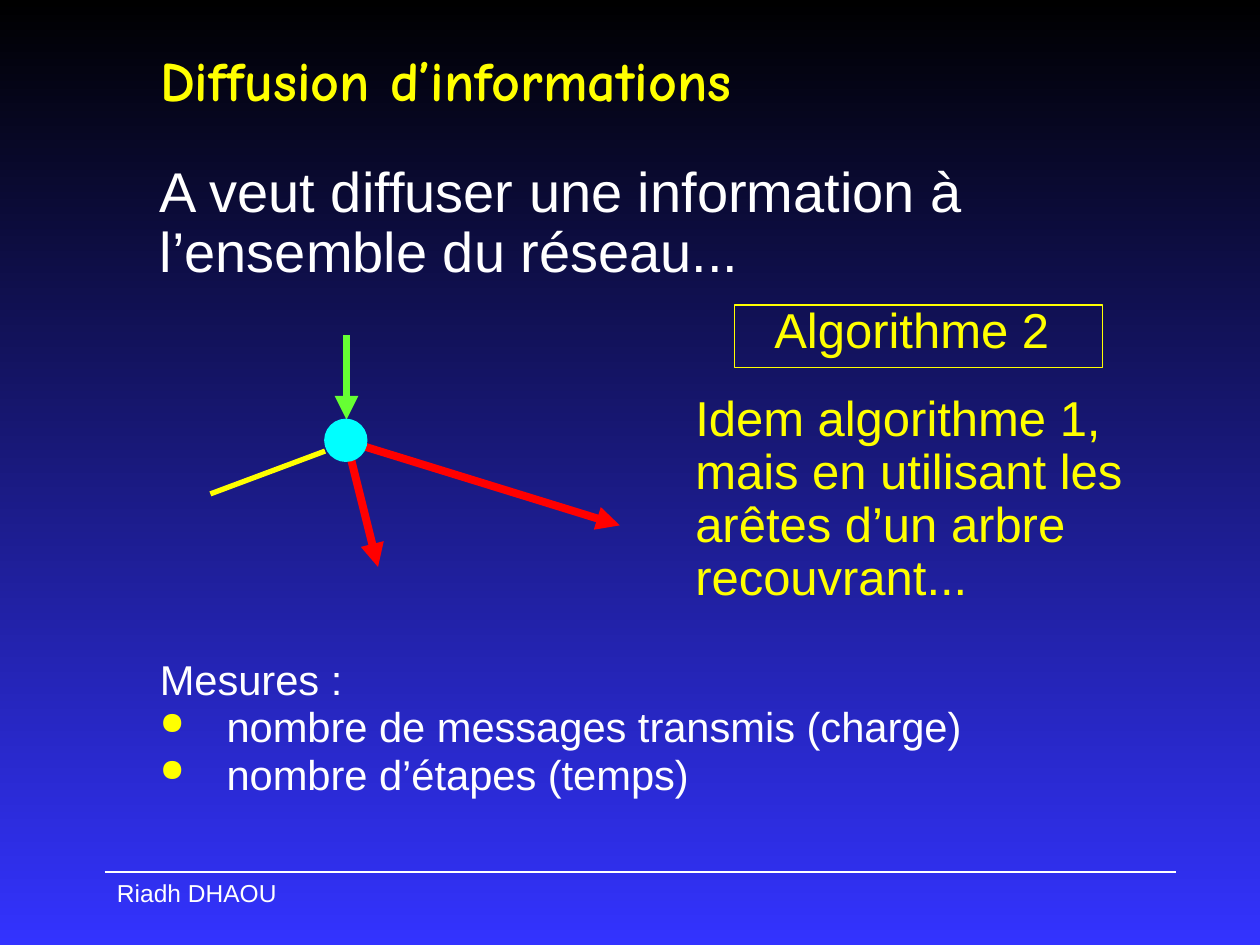
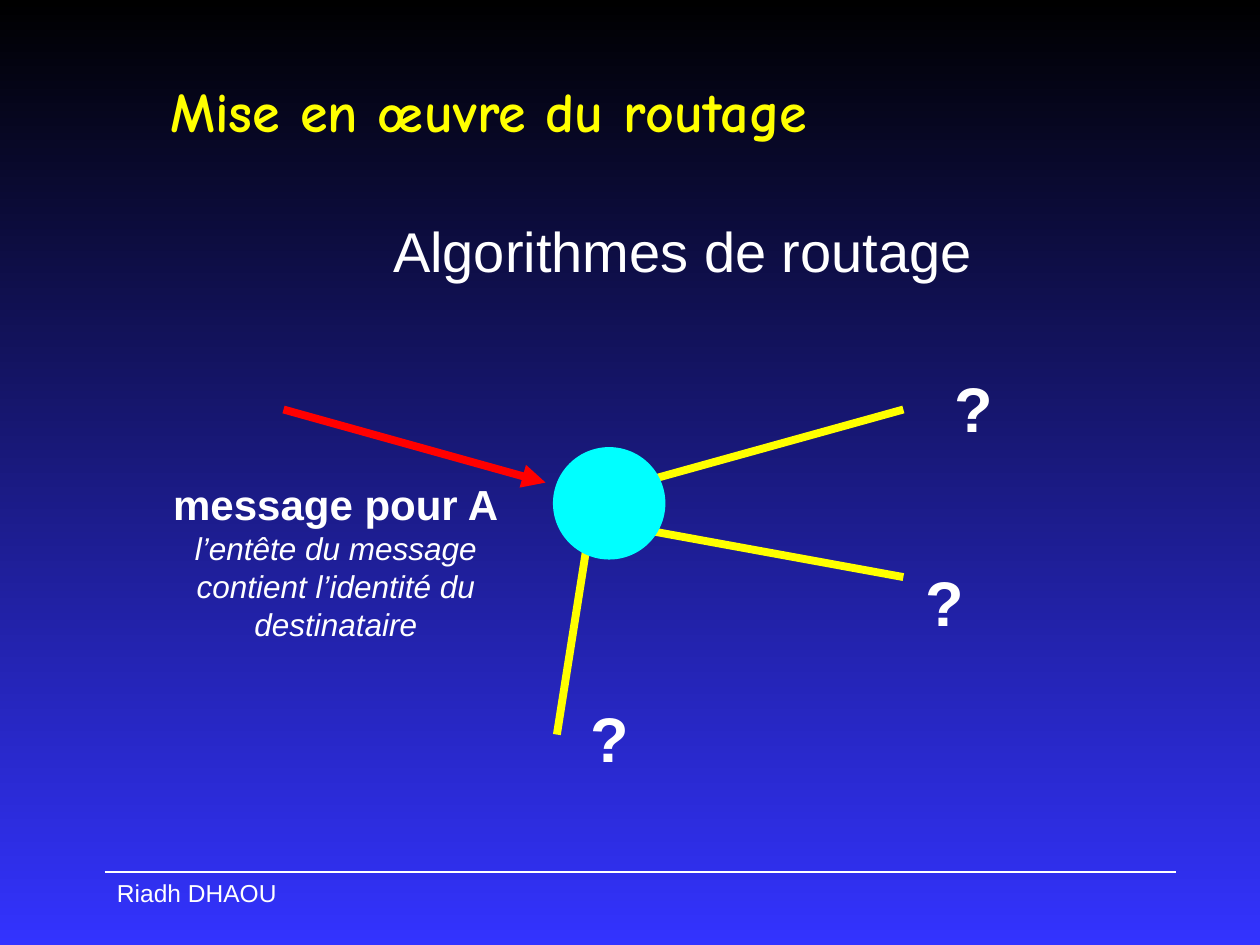
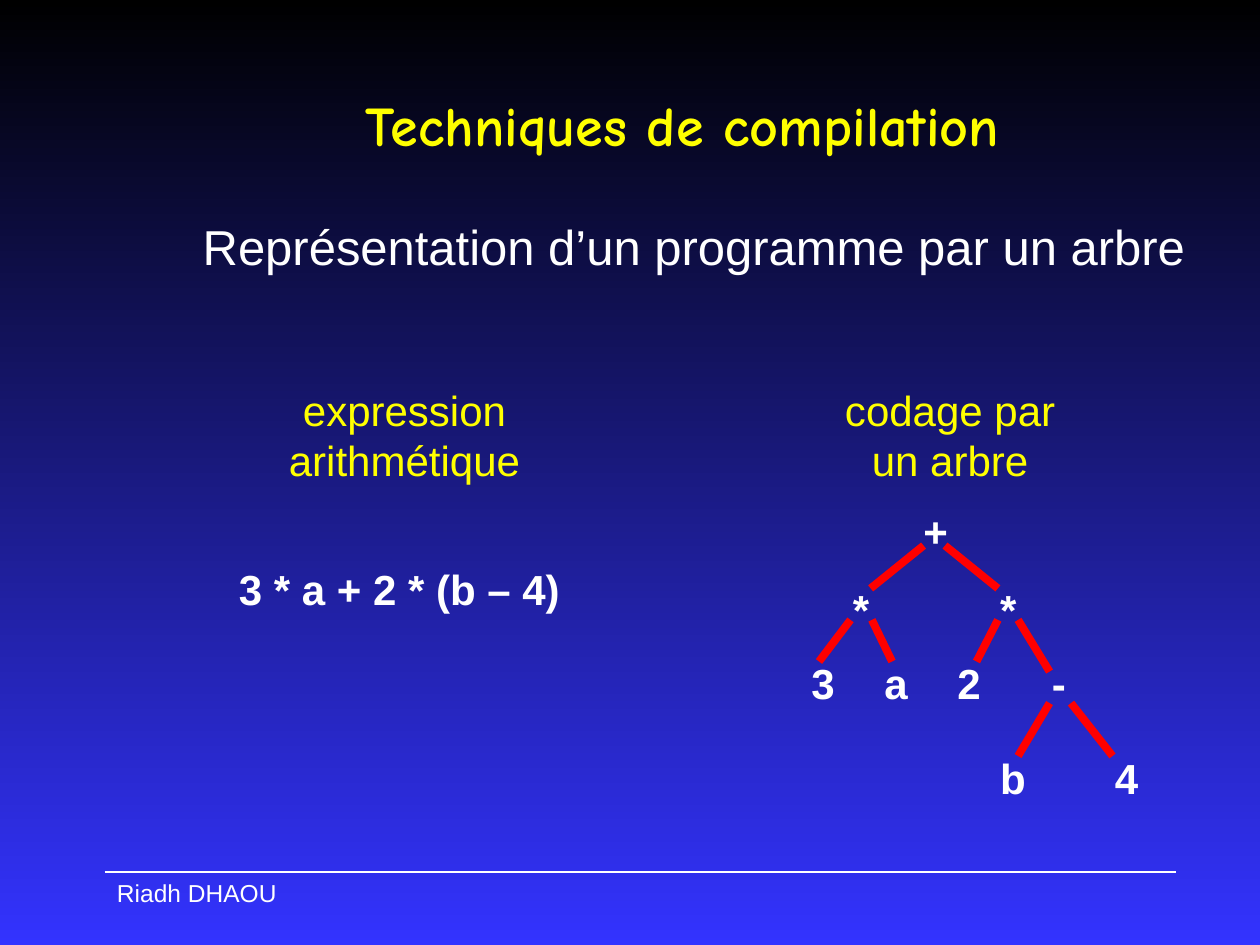
from dataclasses import dataclass

from lxml import etree
from pptx import Presentation
from pptx.dml.color import RGBColor
from pptx.enum import shapes, text
from pptx.oxml import ns
from pptx.util import Inches, Pt

COLORS = {
    "black": "000000",
    "blue": "3333FF",
    "white": "FFFFFF",
    "yellow": "FFFF00",
    "red": "FF0000",
    "green": "66FF33",
    "cyan": "00FFFF",
}
BODY_FONT = "Arial"
TITLE_FONT = "Comic Neue"
LEFT, CENTER = text.PP_ALIGN.LEFT, text.PP_ALIGN.CENTER
TOP, MIDDLE = text.MSO_ANCHOR.TOP, text.MSO_ANCHOR.MIDDLE


@dataclass(frozen=True)
class Box:
    left: float
    top: float
    width: float
    height: float

    def lengths(self):
        return [Inches(v) for v in (self.left, self.top, self.width, self.height)]


@dataclass(frozen=True)
class Para:
    words: str
    size: float
    color: str = "white"
    bold: bool = False
    italic: bool = False
    align: text.PP_ALIGN = LEFT
    spacing: float = 1.0
    before: float = 0
    bullet: bool = False
    font: str = BODY_FONT


@dataclass(frozen=True)
class Link:
    start: tuple[float, float]
    end: tuple[float, float]
    color: str
    width: float = 4.5
    arrow: bool = False


def rgb(name: str) -> RGBColor:
    return RGBColor.from_string(COLORS[name])


def add_bullet(paragraph) -> None:
    properties = paragraph._p.get_or_add_pPr()
    properties.set("marL", str(Inches(0.53)))
    properties.set("indent", str(-Inches(0.53)))
    bullet_color = etree.SubElement(properties, ns.qn("a:buClr"))
    etree.SubElement(bullet_color, ns.qn("a:srgbClr"), val=COLORS["yellow"])
    etree.SubElement(properties, ns.qn("a:buSzPct"), val="75000")
    etree.SubElement(properties, ns.qn("a:buChar"), char="●")


def fill_text(frame, paras: list[Para], anchor=TOP, wrap: bool = True) -> None:
    frame.word_wrap = wrap
    frame.auto_size = text.MSO_AUTO_SIZE.NONE
    frame.vertical_anchor = anchor
    for index, para in enumerate(paras):
        paragraph = frame.add_paragraph() if index else frame.paragraphs[0]
        paragraph.text = para.words
        paragraph.alignment = para.align
        paragraph.line_spacing = para.spacing
        paragraph.space_before = Pt(para.before)
        if para.bullet:
            add_bullet(paragraph)
        font = paragraph.font
        font.name, font.size = para.font, Pt(para.size)
        font.bold, font.italic = para.bold, para.italic
        font.color.rgb = rgb(para.color)


def add_text(slide, box: Box, *paras: Para, wrap: bool = True) -> None:
    fill_text(slide.shapes.add_textbox(*box.lengths()).text_frame, list(paras), wrap=wrap)


def add_link(slide, link: Link) -> None:
    points = [Inches(v) for v in (*link.start, *link.end)]
    connector = slide.shapes.add_connector(shapes.MSO_CONNECTOR.STRAIGHT, *points)
    connector.line.color.rgb = rgb(link.color)
    connector.line.width = Pt(link.width)
    if link.arrow:
        etree.SubElement(connector.line._get_or_add_ln(), ns.qn("a:tailEnd"), type="triangle")
    etree.SubElement(connector._element.spPr, ns.qn("a:effectLst"))


def add_node(slide, box: Box, outline: float) -> None:
    node = slide.shapes.add_shape(shapes.MSO_SHAPE.OVAL, *box.lengths())
    node.shadow.inherit = False
    node.fill.solid()
    node.fill.fore_color.rgb = rgb("cyan")
    node.line.color.rgb = rgb("cyan")
    node.line.width = Pt(outline)


def set_background(master) -> None:
    fill = master.background.fill
    fill.gradient()
    fill.gradient_angle = 270
    for stop, position, name in zip(fill.gradient_stops, (0, 1), ("black", "blue")):
        stop.position = position
        stop.color.rgb = rgb(name)


def start_slide(prs, title: str, box: Box, align=LEFT, anchor=MIDDLE):
    slide = prs.slides.add_slide(prs.slide_layouts[5])
    heading = slide.shapes.title
    heading.left, heading.top, heading.width, heading.height = box.lengths()
    fill_text(
        heading.text_frame,
        [Para(title, 32, "yellow", bold=True, align=align, font=TITLE_FONT)],
        anchor,
    )
    add_link(slide, Link((0.83, 6.92), (9.33, 6.92), "white", 1))
    add_text(slide, Box(0.83, 6.92, 1.92, 0.34), Para("Riadh DHAOU", 14))
    return slide


def build_broadcast(prs) -> None:
    slide = start_slide(prs, "Diffusion d’informations", Box(1.17, 0, 8.5, 1.25))
    add_text(
        slide,
        Box(1.17, 1.25, 8.47, 1.12),
        Para("A veut diffuser une information à l’ensemble du réseau...", 32, spacing=0.9),
    )
    algorithm = slide.shapes.add_shape(
        shapes.MSO_SHAPE.RECTANGLE, *Box(5.83, 2.42, 2.92, 0.5).lengths()
    )
    algorithm.shadow.inherit = False
    algorithm.fill.background()
    algorithm.line.color.rgb = rgb("yellow")
    algorithm.line.width = Pt(0.75)
    fill_text(
        algorithm.text_frame,
        [Para("Algorithme 2 ", 28, "yellow", align=CENTER, spacing=0.8)],
    )
    center = (2.75, 3.5)
    for link in (
        Link((2.75, 2.66), (2.75, 3.33), "green", arrow=True),
        Link(center, (4.92, 4.17), "red", arrow=True),
        Link(center, (3, 4.5), "red", arrow=True),
        Link((2.58, 3.58), (1.67, 3.92), "yellow", 3),
    ):
        add_link(slide, link)
    add_node(slide, Box(2.58, 3.33, 0.33, 0.33), 1)
    add_text(
        slide,
        Box(5.42, 3.08, 4.33, 2.33),
        Para(
            "Idem algorithme 1, mais en utilisant les arêtes d’un arbre recouvrant...",
            28, "yellow", spacing=0.9,
        ),
    )
    measures = ("nombre de messages transmis (charge)", "nombre d’étapes (temps)")
    add_text(
        slide,
        Box(1.17, 5.25, 8.47, 1.12),
        Para("Mesures :", 23.8, spacing=0.7),
        *(Para(m, 23.8, spacing=0.7, before=7, bullet=True) for m in measures),
    )


def build_routing(prs) -> None:
    slide = start_slide(prs, "Mise en œuvre du routage", Box(1.25, 0.25, 8.5, 1.25))
    add_text(
        slide,
        Box(1.17, 1.67, 8.5, 0.67),
        Para("Algorithmes de routage", 32, align=CENTER),
    )
    for link in (
        Link((2.25, 3.25), (4.33, 3.83), "red", arrow=True),
        Link((5.08, 3.83), (7.17, 3.25), "yellow"),
        Link((4.92, 4.17), (7.17, 4.58), "yellow"),
        Link((4.67, 4.25), (4.42, 5.83), "yellow"),
    ):
        add_link(slide, link)
    add_text(
        slide,
        Box(1.25, 3.75, 2.83, 1.4),
        Para("message pour A", 24, bold=True, align=CENTER),
        Para(
            "l’entête du message contient l’identité du destinataire",
            18, italic=True, align=CENTER,
        ),
    )
    for left, top in ((7.48, 2.88), (4.59, 5.5), (7.25, 4.42)):
        add_text(slide, Box(left, top, 0.5, 0.7), Para("?", 36, bold=True), wrap=False)
    add_node(slide, Box(4.42, 3.58, 0.83, 0.83), 4.5)


def build_compilation(prs) -> None:
    slide = start_slide(
        prs, "Techniques de compilation", Box(1.17, 0.67, 8.5, 0.96), CENTER, TOP
    )
    for box, para in (
        (Box(1.17, 1.67, 8.67, 0.57),
         Para("Représentation d’un programme par un arbre", 28, align=CENTER)),
        (Box(2.17, 3, 2.08, 0.9),
         Para("expression arithmétique", 24, "yellow", align=CENTER)),
        (Box(1.67, 4.42, 3, 0.5),
         Para("3 * a + 2 * (b – 4)", 24, bold=True, align=CENTER)),
        (Box(6.5, 3, 2.08, 0.9),
         Para("codage par un arbre", 24, "yellow", align=CENTER)),
    ):
        add_text(slide, box, para)

    tree_levels = {
        3.96: (("+", 7.23, 0.39),),
        4.58: (("*", 6.67, 0.33), ("*", 7.84, 0.33)),
        5.17: (("3", 6.34, 0.38), ("a", 6.92, 0.38), ("2", 7.5, 0.38), ("-", 8.25, 0.31)),
        5.92: (("b", 7.84, 0.4), ("4", 8.75, 0.38)),
    }
    for top, symbols in tree_levels.items():
        for symbol, left, width in symbols:
            add_text(slide, Box(left, top, width, 0.5), Para(symbol, 24, bold=True), wrap=False)

    for start, end in (
        ((7.33, 4.33), (6.91, 4.67)),
        ((7.5, 4.33), (7.92, 4.67)),
        ((8.08, 4.92), (8.33, 5.33)),
        ((7.92, 4.92), (7.75, 5.25)),
        ((6.92, 4.92), (7.08, 5.25)),
        ((6.75, 4.92), (6.5, 5.25)),
        ((8.33, 5.58), (8.08, 6)),
        ((8.5, 5.58), (8.83, 6)),
    ):
        add_link(slide, Link(start, end, "red"))


def main() -> None:
    prs = Presentation()
    prs.slide_width, prs.slide_height = Inches(10), Inches(7.5)
    set_background(prs.slide_master)
    build_broadcast(prs)
    build_routing(prs)
    build_compilation(prs)
    prs.save("out.pptx")


if __name__ == "__main__":
    main()
